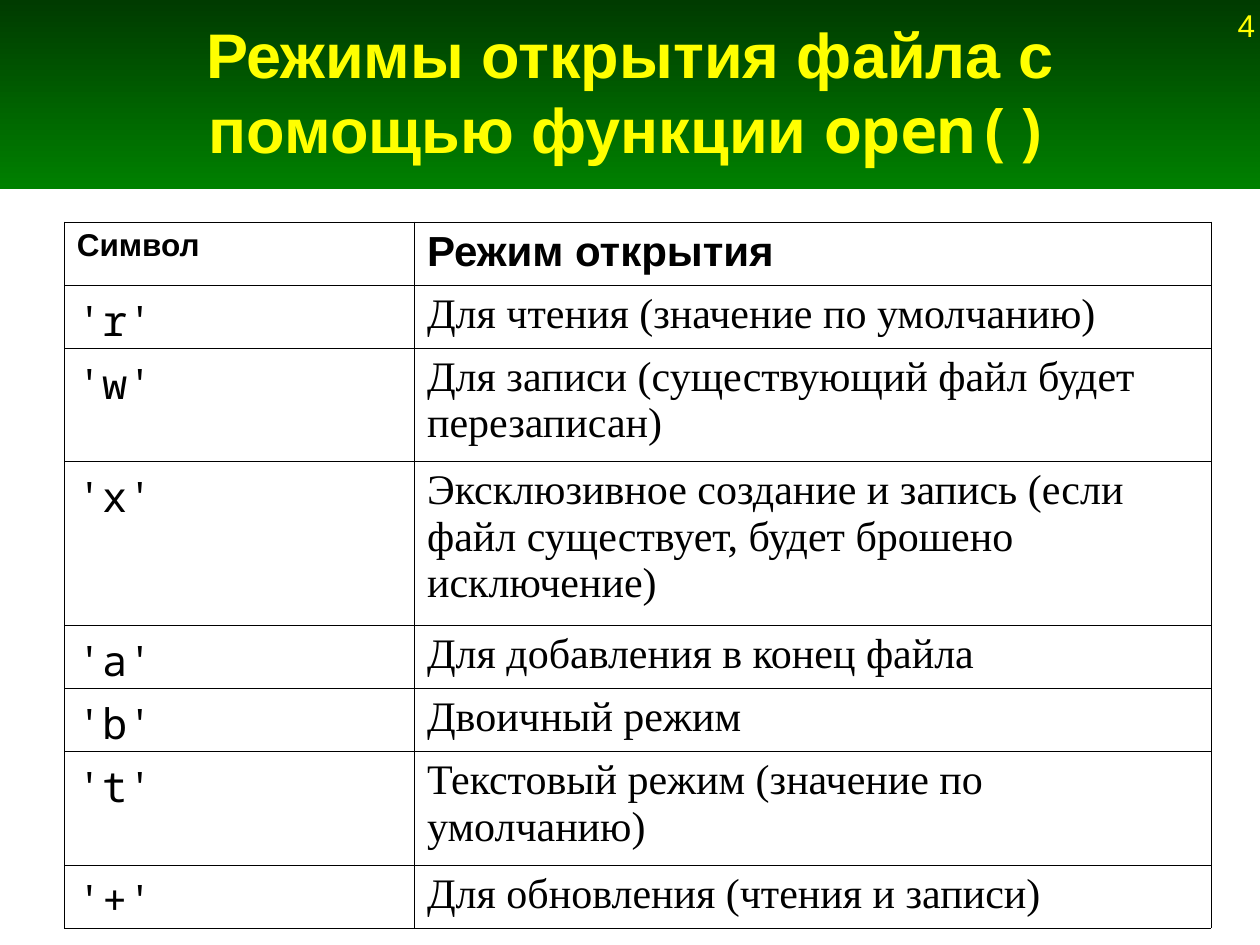
from lxml import etree
from pptx import Presentation
from pptx.dml.color import RGBColor
from pptx.enum.shapes import MSO_SHAPE
from pptx.enum.text import MSO_ANCHOR, PP_ALIGN
from pptx.oxml.ns import qn
from pptx.util import Inches, Pt

RECTANGLE = MSO_SHAPE.RECTANGLE
TOP, MIDDLE = MSO_ANCHOR.TOP, MSO_ANCHOR.MIDDLE
LEFT, CENTER, RIGHT = PP_ALIGN.LEFT, PP_ALIGN.CENTER, PP_ALIGN.RIGHT
WIDTH, HEIGHT = Inches(10), Inches(7.5)
COLORS = {"dark": "003B00", "green": "008000", "yellow": "FFFF00", "black": "000000"}
SANS, MONO, SERIF = "Arial", "Noto Sans Mono", "Times New Roman"
HAIRLINE = Pt(0.06)
ROW_HEIGHT, EXTRA_LINE = 0.5 / 7.5, 0.4 / 7.5

MODES = [
    ("'r'", "Для чтения (значение по умолчанию)", 1),
    ("'w'", "Для записи (существующий файл будет перезаписан)", 2),
    ("'x'", "Эксклюзивное создание и запись (если файл существует, будет брошено исключение)", 3),
    ("'a'", "Для добавления в конец файла", 1),
    ("'b'", "Двоичный режим", 1),
    ("'t'", "Текстовый режим (значение по умолчанию)", 2),
    ("'+'", "Для обновления (чтения и записи)", 1),
]


class SlideStyle:
    """Holds the deck's style and page, and draws elements in shares of the slide."""

    def __init__(self):
        self.deck = Presentation()
        self.deck.slide_width, self.deck.slide_height = WIDTH, HEIGHT
        self.page = self.deck.slides.add_slide(self.deck.slide_layouts[6])

    def place(self, left, top, width, height):
        return (round(left * WIDTH), round(top * HEIGHT),
                round(width * WIDTH), round(height * HEIGHT))

    def color(self, name):
        return RGBColor.from_string(COLORS[name])

    def fill_text(self, frame, spans, color, align=LEFT):
        para = frame.paragraphs[0]
        para.alignment = align
        for text, formats in spans:
            span = para.add_run()
            span.text = text
            span.font.color.rgb = self.color(color)
            for name, value in formats.items():
                setattr(span.font, name, value)

    def band(self, area, start, end):
        box = self.page.shapes.add_shape(RECTANGLE, *self.place(*area))
        box.shadow.inherit = False
        box.line.fill.background()
        box.fill.gradient()
        box.fill.gradient_angle = 270
        for stop, position, name in zip(box.fill.gradient_stops, (0, 1), (start, end)):
            stop.position = position
            stop.color.rgb = self.color(name)

    def text(self, area, spans, align, anchor=TOP, wrap=True):
        frame = self.page.shapes.add_textbox(*self.place(*area)).text_frame
        frame.word_wrap = wrap
        frame.vertical_anchor = anchor
        self.fill_text(frame, spans, "yellow", align)

    def border(self, cell):
        properties = cell._tc.get_or_add_tcPr()
        for index, side in enumerate(("a:lnL", "a:lnR", "a:lnT", "a:lnB")):
            line = etree.Element(qn(side), w=str(int(HAIRLINE)))
            fill = etree.SubElement(line, qn("a:solidFill"))
            etree.SubElement(fill, qn("a:srgbClr"), val=COLORS["black"])
            properties.insert(index, line)

    def table(self, left, top, widths, rows):
        heights = [ROW_HEIGHT + EXTRA_LINE * (lines - 1) for _, lines in rows]
        area = self.place(left, top, sum(widths), sum(heights))
        grid = self.page.shapes.add_table(len(rows), len(widths), *area).table
        grid.first_row = grid.horz_banding = False
        for column, width in zip(grid.columns, widths):
            column.width = round(width * WIDTH)
        for row, height, (spans, _) in zip(grid.rows, heights, rows):
            row.height = round(height * HEIGHT)
            for cell, span in zip(row.cells, spans):
                cell.fill.background()
                self.border(cell)
                self.fill_text(cell.text_frame, [span], "black")


def main():
    style = SlideStyle()
    style.band((0, 0, 1, 0.2), "dark", "green")
    number = {"name": SANS, "size": Pt(18)}
    style.text((0.872, 0, 0.134, 0.4 / 7.5), [("4", number)], RIGHT, wrap=False)
    heading = {"name": SANS, "size": Pt(36), "bold": True}
    style.text(
        (0.075, 0.07 / 7.5, 0.85, 1.3 / 7.5),
        [("Режимы открытия файла с помощью функции ", heading),
         ("open()", {**heading, "name": MONO})],
        CENTER, MIDDLE)

    header = [("Символ", {**number, "bold": True}),
              ("Режим открытия", {"name": SANS, "size": Pt(24), "bold": True})]
    symbol, meaning = ({"name": name, "size": Pt(24), "bold": False} for name in (MONO, SERIF))
    rows = [(header, 1)]
    rows += [([(mode, symbol), (note, meaning)], lines) for mode, note, lines in MODES]
    style.table(0.051, 1.76 / 7.5, (0.278, 0.632), rows)
    style.deck.save("out.pptx")


if __name__ == "__main__":
    main()
